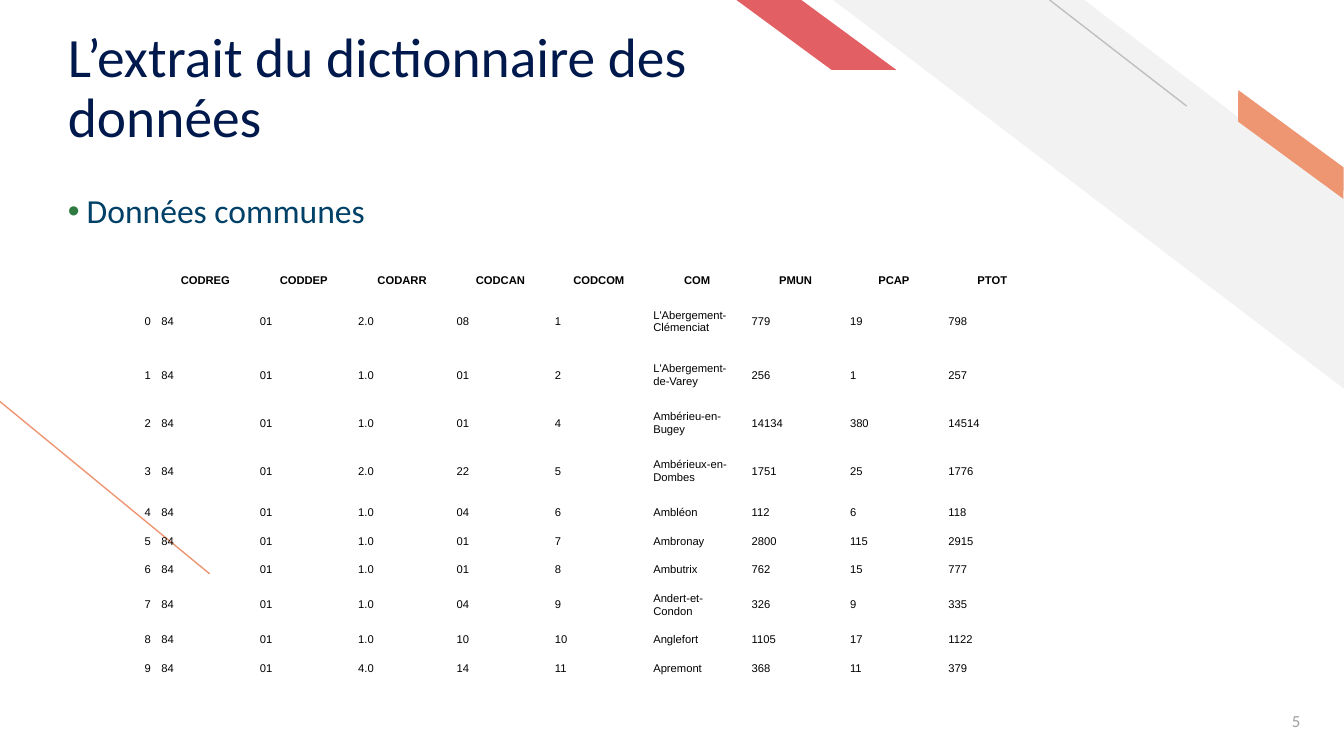
from dataclasses import dataclass

from lxml import etree
from pptx import Presentation
from pptx.dml.color import RGBColor
from pptx.enum.shapes import MSO_CONNECTOR, MSO_SHAPE
from pptx.enum.text import MSO_ANCHOR, PP_ALIGN
from pptx.oxml.ns import qn
from pptx.util import Inches, Pt

STRIPE, SLANT = MSO_SHAPE.DIAGONAL_STRIPE, MSO_SHAPE.PARALLELOGRAM
STRAIGHT = MSO_CONNECTOR.STRAIGHT
TOP, MIDDLE, BOTTOM = MSO_ANCHOR.TOP, MSO_ANCHOR.MIDDLE, MSO_ANCHOR.BOTTOM
LEFT, CENTER, RIGHT = PP_ALIGN.LEFT, PP_ALIGN.CENTER, PP_ALIGN.RIGHT
PLAIN_TABLE = "{2D5ABB26-0587-4C30-8999-92F81FD0307C}"

# The grid has 100 columns; rows are as high as columns are wide.
COLS, ROWS = 100, 56.25
UNIT = 0.1


@dataclass(frozen=True)
class Theme:
    navy: str = "00194C"
    blue: str = "014067"
    green: str = "2E7A40"
    orange: str = "EE9571"
    red: str = "E26064"
    pale: str = "F2F2F2"
    grey: str = "BFBFBF"
    number: str = "9E9E9E"
    black: str = "000000"
    body_font: str = "Calibri"
    table_font: str = "Arial"
    title_size: float = 29.7
    bullet_size: float = 18
    number_size: float = 9
    table_size: float = 6
    line_width: float = 0.75


def grid(*values):
    return [Inches(v * UNIT) for v in values]


class Deck:
    def __init__(self, theme):
        self.theme = theme
        self.prs = Presentation()
        self.prs.slide_width, self.prs.slide_height = grid(COLS, ROWS)
        self.s = self.prs.slides.add_slide(self.prs.slide_layouts[6])

    def run(self, p, text, size, color, font, bold=False):
        r = p.add_run()
        r.text = text
        for name, value in {"size": Pt(size), "name": font, "bold": bold}.items():
            setattr(r.font, name, value)
        r.font.color.rgb = RGBColor.from_string(color)

    def line(self, start, end, color):
        c = self.s.shapes.add_connector(STRAIGHT, *grid(*start, *end))
        c.line.color.rgb = RGBColor.from_string(color)
        c.line.width = Pt(self.theme.line_width)
        etree.SubElement(c.element.spPr, qn("a:effectLst"))

    def band(self, kind, box, adjust, color, rotation=0):
        """A filled band, mirrored so that it falls to the right."""
        sp = self.s.shapes.add_shape(kind, *grid(*box))
        sp.adjustments[0] = adjust
        sp.rotation = rotation
        sp.element.spPr.get_or_add_xfrm().set("flipH", "1")
        sp.shadow.inherit = False
        sp.fill.solid()
        sp.fill.fore_color.rgb = RGBColor.from_string(color)
        sp.line.fill.background()

    def text(self, box, text, size, color, anchor=TOP, align=LEFT,
             spacing=1.0, bottom=0.4, bullet=None):
        tf = self.s.shapes.add_textbox(*grid(*box)).text_frame
        side, top, base = grid(0.75, 0.4, bottom)
        frame = {"word_wrap": True, "vertical_anchor": anchor,
                 "margin_left": side, "margin_right": side,
                 "margin_top": top, "margin_bottom": base}
        for name, value in frame.items():
            setattr(tf, name, value)
        p = tf.paragraphs[0]
        p.alignment, p.line_spacing = align, spacing
        if bullet:
            self.bullet(p, bullet)
        self.run(p, text, size, color, self.theme.body_font)

    def bullet(self, p, color):
        indent = grid(1.4)[0]
        pPr = p._p.get_or_add_pPr()
        pPr.set("marL", str(indent))
        pPr.set("indent", str(-indent))
        etree.SubElement(etree.SubElement(pPr, qn("a:buClr")),
                         qn("a:srgbClr"), val=color)
        etree.SubElement(pPr, qn("a:buFont"), typeface="Arial")
        etree.SubElement(pPr, qn("a:buChar"), char="•")

    def table(self, left, top, col_width, heights, rows):
        t = self.theme
        n = len(rows[0])
        box = grid(left, top, n * col_width, sum(heights))
        tb = self.s.shapes.add_table(len(rows), n, *box).table
        tb.first_row = tb.horz_banding = False
        tb._tbl.tblPr.find(qn("a:tableStyleId")).text = PLAIN_TABLE
        for col in tb.columns:
            col.width = grid(col_width)[0]
        side, edge = grid(0.4, 0.2)
        margins = {"margin_left": side, "margin_right": side,
                   "margin_top": edge, "margin_bottom": edge,
                   "vertical_anchor": MIDDLE}
        for i, (height, values) in enumerate(zip(heights, rows)):
            tb.rows[i].height = grid(height)[0]
            for j, value in enumerate(values):
                cell = tb.cell(i, j)
                cell.fill.background()
                for name, setting in margins.items():
                    setattr(cell, name, setting)
                p = cell.text_frame.paragraphs[0]
                p.alignment = CENTER if i == 0 else RIGHT if j == 0 else LEFT
                if value:
                    self.run(p, value, t.table_size, t.black, t.table_font, i == 0)
                else:
                    # An empty cell still needs the small type size
                    end = etree.SubElement(p._p, qn("a:endParaRPr"))
                    end.set("sz", str(int(t.table_size * 100)))


HEADER = ["", "CODREG", "CODDEP", "CODARR", "CODCAN", "CODCOM",
          "COM", "PMUN", "PCAP", "PTOT"]
# Arrondissement, canton, commune code, commune, three population counts
COMMUNES = [
    ("2.0", "08", "1", "L'Abergement-Clémenciat", "779", "19", "798"),
    ("1.0", "01", "2", "L'Abergement-de-Varey", "256", "1", "257"),
    ("1.0", "01", "4", "Ambérieu-en-Bugey", "14134", "380", "14514"),
    ("2.0", "22", "5", "Ambérieux-en-Dombes", "1751", "25", "1776"),
    ("1.0", "04", "6", "Ambléon", "112", "6", "118"),
    ("1.0", "01", "7", "Ambronay", "2800", "115", "2915"),
    ("1.0", "01", "8", "Ambutrix", "762", "15", "777"),
    ("1.0", "04", "9", "Andert-et-Condon", "326", "9", "335"),
    ("1.0", "10", "10", "Anglefort", "1105", "17", "1122"),
    ("4.0", "14", "11", "Apremont", "368", "11", "379"),
]
HEIGHTS = [2.13, 4, 4, 3.15, 4, 2.13, 2.13, 2.13, 3.1, 2.13, 2.13]


def main():
    t = Theme()
    deck = Deck(t)

    # Background decoration
    deck.line((15.6, 42.7), (-0.1, 29.8), t.orange)
    deck.band(STRIPE, (62, 0, 38.1, 29), 0.51, t.pale)
    deck.line((88.3, 7.9), (78.1, 0), t.grey)
    deck.band(SLANT, (90.5, 9.8, 11.1, 1.9), 0.72, t.orange, 36.3)
    deck.band(SLANT, (54.8, 0, 11.9, 5.2), 1.36, t.red)

    # Title and slide number
    deck.text((4.3, 1.7, 51.3, 9.4), "L’extrait du dictionnaire des données",
              t.title_size, t.navy, BOTTOM, spacing=0.9, bottom=0)
    deck.text((91.4, 52.1, 6.1, 3), "5", t.number_size, t.number, MIDDLE, RIGHT)

    # Data dictionary table
    rows = [HEADER] + [[str(i), "84", "01", *commune]
                       for i, commune in enumerate(COMMUNES)]
    deck.table(4.3, 19.8, 7.32, HEIGHTS, rows)

    # Heading of the table
    deck.text((4.3, 14.1, 34.2, 2.8), "Données communes", t.bullet_size, t.blue,
              spacing=0.9, bullet=t.green)

    deck.prs.save("out.pptx")


if __name__ == "__main__":
    main()
